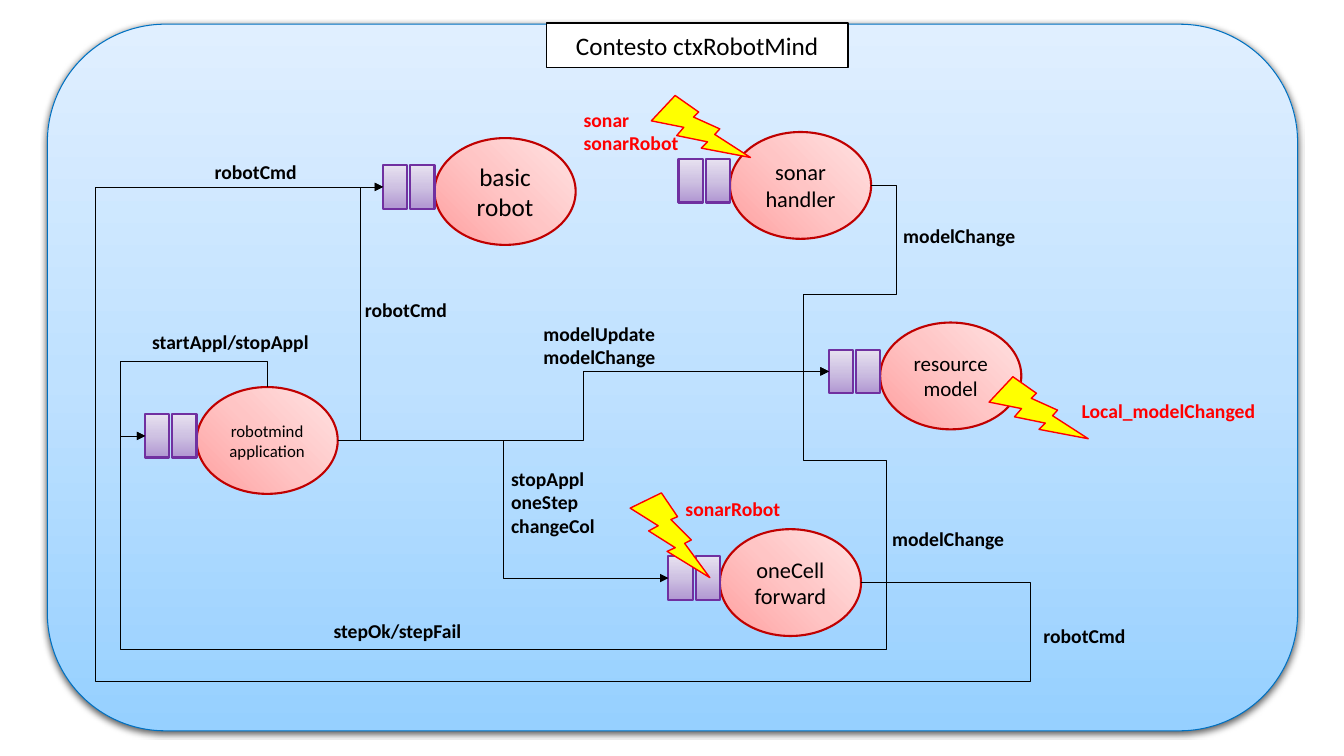
from lxml.etree import SubElement
from pptx import Presentation
from pptx.dml.color import RGBColor
from pptx.enum.shapes import MSO_CONNECTOR, MSO_SHAPE
from pptx.enum.text import MSO_ANCHOR, MSO_AUTO_SIZE, PP_ALIGN
from pptx.oxml import parse_xml
from pptx.oxml.ns import nsdecls, qn
from pptx.util import Inches, Pt

# Content
COLORS = {"black": "000000", "white": "FFFFFF", "red": "FF0000", "yellow": "FFFF00",
          "context line": "0070C0", "actor line": "C00000", "queue line": "7030A0"}
UPWARD = '<a:lin ang="16200000" scaled="0"/>'
FROM_CORNER = '<a:path path="circle"><a:fillToRect t="100000" r="100000"/></a:path>'
GRADIENTS = {
    "context": (("96D0FF", "BFE1FF", "E0EFFF"), UPWARD),
    "actor": (("FFA0A0", "FFC5C5", "FFE3E3"), FROM_CORNER),
    "queue": (("B197D2", "CEC1E2", "E7E1F0"), UPWARD),
}

# name: (left, top, text, size)
ACTORS = {
    "basic robot": (4.31, 1.37, "basic robot", 18),
    "resource model": (8.73, 3.2, "resource model", 15),
    "one cell": (7.14, 5.25, "oneCell forward", 16),
    "sonar": (7.24, 1.31, "sonar\nhandler", 16),
    "application": (1.95, 3.84, "robotmind\napplication", 12),
}
# sender, receiver, bends as alternating x and y
MESSAGES = [
    ("application", "basic robot", [3.57]),
    ("application", "resource model", [5.79]),
    ("application", "one cell", [4.99]),
    ("one cell", "application", [8.79, 6.44, 1.19]),
    ("sonar", "resource model", [8.89, 2.92, 7.97]),
    ("one cell", "resource model", [8.79, 4.57, 7.97]),
    ("one cell", "basic robot", [10.22, 6.76, 0.94]),
]
SELF_MESSAGE = ("application", [1.19, 3.59])
# left, top, rotation
EVENTS = [(9.88, 3.68, 339.2), (6.53, 0.89, 339.2), (6.25, 4.89, 0)]
# left, top, text, color
LABELS = [
    (3.52, 2.91, "robotCmd", "black"),
    (5.29, 3.14, "modelUpdate\nmodelChange", "black"),
    (10.63, 3.91, "Local_modelChanged", "red"),
    (4.97, 4.58, "stopAppl\noneStep\nchangeCol", "black"),
    (1.41, 3.22, "startAppl/stopAppl", "black"),
    (3.21, 6.09, "stepOk/stepFail", "black"),
    (5.69, 1.02, "sonar\nsonarRobot", "red"),
    (8.86, 2.17, "modelChange", "black"),
    (8.75, 5.18, "modelChange", "black"),
    (2.03, 1.54, "robotCmd", "black"),
    (10.25, 6.14, "robotCmd", "black"),
    (6.7, 4.88, "sonarRobot", "red"),
]

ACTOR_WIDTH, ACTOR_HEIGHT = 1.4, 1.06
QUEUE_WIDTH, QUEUE_HEIGHT = 0.24, 0.43
QUEUE_OFFSETS = (0.24, 0.51)
QUEUE_DROP = 0.27


def rgb(name):
    return RGBColor.from_string(COLORS[name])


def set_gradient(shape, name):
    colors, direction = GRADIENTS[name]
    stops = "".join(f'<a:gs pos="{index * 50000}"><a:srgbClr val="{color}"/></a:gs>'
                    for index, color in enumerate(colors))
    shape.fill.background()
    properties = shape._element.spPr
    properties.replace(properties.find(qn("a:noFill")), parse_xml(
        f'<a:gradFill {nsdecls("a")} rotWithShape="1">'
        f"<a:gsLst>{stops}</a:gsLst>{direction}</a:gradFill>"))


def add_box(shapes, kind, bounds, fill, line, width):
    shape = shapes.add_shape(kind, *map(Inches, bounds))
    shape.shadow.inherit = False
    if fill in GRADIENTS:
        set_gradient(shape, fill)
    else:
        shape.fill.solid()
        shape.fill.fore_color.rgb = rgb(fill)
    shape.line.color.rgb = rgb(line)
    shape.line.width = Pt(width)
    return shape


def set_text(shape, text, size, color="black", bold=False, align=PP_ALIGN.CENTER):
    frame = shape.text_frame
    frame.text = text
    frame.word_wrap = True
    formats = {"name": "Calibri", "size": Pt(size), "bold": bold}
    for paragraph in frame.paragraphs:
        paragraph.alignment = align
        font = paragraph.runs[0].font
        for attribute, value in formats.items():
            setattr(font, attribute, value)
        font.color.rgb = rgb(color)


def add_route(shapes, start, end, bends, arrow="tailEnd"):
    connector = shapes.add_connector(MSO_CONNECTOR.ELBOW, *map(Inches, start + end))
    connector.line.color.rgb = rgb("black")
    connector.line.width = Pt(0.5)
    properties = connector._element.spPr
    SubElement(properties.find(qn("a:ln")), qn(f"a:{arrow}"), type="triangle")
    SubElement(properties, qn("a:effectLst"))

    # Each bend becomes a fraction of the distance along its axis
    geometry = properties.find(qn("a:prstGeom"))
    geometry.set("prst", f"bentConnector{len(bends) + 2}")
    adjustments = geometry.find(qn("a:avLst"))
    for index, bend in enumerate(bends):
        axis = index % 2
        share = (bend - start[axis]) / (end[axis] - start[axis])
        SubElement(adjustments, qn("a:gd"), name=f"adj{index + 1}",
                   fmla=f"val {round(share * 100000)}")


def output_point(name):
    left, top = ACTORS[name][:2]
    return left + ACTOR_WIDTH, top + ACTOR_HEIGHT / 2


def input_point(name):
    left, top = ACTORS[name][:2]
    return left - QUEUE_OFFSETS[-1], top + QUEUE_DROP + QUEUE_HEIGHT / 2


presentation = Presentation()
presentation.slide_width, presentation.slide_height = Inches(13.33), Inches(7.5)
slide = presentation.slides.add_slide(presentation.slide_layouts[6])

# Context and its title
context = add_box(slide.shapes, MSO_SHAPE.ROUNDED_RECTANGLE, (0.47, 0.24, 12.4, 7.01),
                  "context", "context line", 0.75)
effects = context._element.spPr.find(qn("a:effectLst"))
effects.append(parse_xml(
    f'<a:outerShdw {nsdecls("a")} blurRad="{Pt(4.5)}" dist="{Pt(1.5)}" dir="5400000" '
    'algn="ctr" rotWithShape="0"><a:srgbClr val="000000"><a:alpha val="63000"/>'
    "</a:srgbClr></a:outerShdw>"))
title = add_box(slide.shapes, MSO_SHAPE.RECTANGLE, (5.42, 0.23, 2.99, 0.44),
                "white", "black", 1)
set_text(title, "Contesto ctxRobotMind", 18)

# Actors with their message queues
for left, top, text, size in ACTORS.values():
    group = slide.shapes.add_group_shape()
    actor = add_box(group.shapes, MSO_SHAPE.OVAL, (left, top, ACTOR_WIDTH, ACTOR_HEIGHT),
                    "actor", "actor line", 1.5)
    set_text(actor, text, size)
    actor.text_frame.vertical_anchor = MSO_ANCHOR.MIDDLE
    for offset in QUEUE_OFFSETS:
        add_box(group.shapes, MSO_SHAPE.RECTANGLE,
                (left - offset, top + QUEUE_DROP, QUEUE_WIDTH, QUEUE_HEIGHT),
                "queue", "queue line", 1.5)

# Messages
for sender, receiver, bends in MESSAGES:
    add_route(slide.shapes, output_point(sender), input_point(receiver), bends)
name, bends = SELF_MESSAGE
left, top = ACTORS[name][:2]
add_route(slide.shapes, input_point(name), (left + ACTOR_WIDTH / 2, top), bends, "headEnd")

# Events
for left, top, rotation in EVENTS:
    bolt = add_box(slide.shapes, MSO_SHAPE.LIGHTNING_BOLT, (left, top, 0.79, 0.84),
                   "yellow", "red", 1)
    bolt.rotation = rotation

# Labels
for left, top, text, color in LABELS:
    height = 0.1 + 0.24 * len(text.splitlines())
    label = slide.shapes.add_textbox(*map(Inches, (left, top, 1.95, height)))
    set_text(label, text, 14, color, True, PP_ALIGN.LEFT)
    label.text_frame.auto_size = MSO_AUTO_SIZE.SHAPE_TO_FIT_TEXT

presentation.save("out.pptx")
